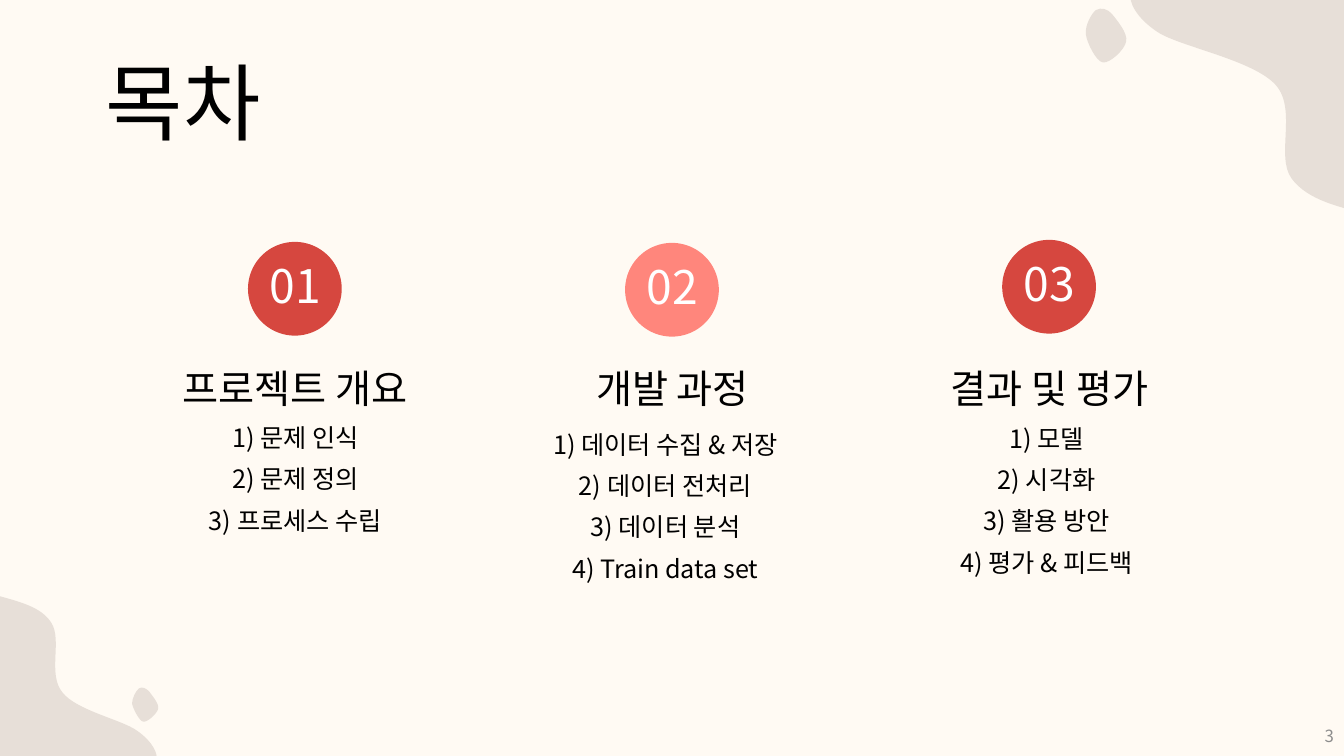
"""Build the contents slide with three numbered sections."""
from dataclasses import dataclass

from lxml.etree import SubElement
from pptx import Presentation
from pptx.dml.color import RGBColor
from pptx.enum.shapes import MSO_SHAPE
from pptx.enum.text import MSO_ANCHOR, PP_ALIGN
from pptx.oxml.ns import qn
from pptx.util import Inches, Pt

FONT = "Noto Sans CJK KR"
COLORS = {
    "background": "FFFAF3", "blob": "E7DFD8", "red": "D6473F",
    "coral": "FF867C", "text": "000000", "white": "FFFFFF", "page": "8C8C8C",
}
BADGE = 0.93

Point = tuple[float, float]
Curve = tuple[float, float, float, float, float, float]


@dataclass(frozen=True)
class Blob:
    start: Point
    curves: tuple[Curve, ...]


@dataclass(frozen=True)
class Section:
    number: str
    title: str
    items: tuple[str, ...]
    color: str
    center: float
    title_width: float
    badge_top: float
    list_center: float
    list_top: float
    list_width: float


BLOBS = (
    Blob((-0.02, 5.91), (
        (0.19, 5.97, 0.41, 6.02, 0.51, 6.18),
        (0.62, 6.35, 0.47, 6.69, 0.62, 6.87),
        (0.76, 7.05, 1.21, 7.14, 1.36, 7.25),
        (1.52, 7.36, 1.57, 7.49, 1.55, 7.53),
        (1.55, 7.55, -0.05, 7.52, -0.05, 7.52),
        (-0.17, 7.51, -0.04, 5.92, -0.04, 5.92))),
    Blob((13.63, 2.14), (
        (13.3, 2.06, 12.97, 1.99, 12.81, 1.77),
        (12.65, 1.55, 12.87, 1.08, 12.65, 0.84),
        (12.43, 0.6, 11.74, 0.47, 11.5, 0.33),
        (11.26, 0.18, 11.19, 0, 11.22, -0.05),
        (11.21, -0.07, 13.68, -0.04, 13.68, -0.03),
        (13.86, -0.03, 13.66, 2.13, 13.66, 2.13))),
    Blob((10.87, 0.1), (
        (10.83, 0.13, 10.76, 0.25, 10.77, 0.34),
        (10.78, 0.42, 10.87, 0.61, 10.94, 0.62),
        (11.01, 0.63, 11.16, 0.49, 11.17, 0.41),
        (11.19, 0.33, 11.07, 0.19, 11.03, 0.14),
        (10.99, 0.09, 10.92, 0.07, 10.87, 0.1))),
    Blob((1.38, 6.83), (
        (1.35, 6.85, 1.31, 6.93, 1.31, 6.98),
        (1.32, 7.03, 1.38, 7.15, 1.42, 7.16),
        (1.46, 7.17, 1.56, 7.08, 1.57, 7.03),
        (1.58, 6.98, 1.5, 6.89, 1.48, 6.86),
        (1.45, 6.83, 1.41, 6.81, 1.38, 6.83))),
)

SECTIONS = (
    Section("01", "프로젝트 개요",
            ("1) 문제 인식", "2) 문제 정의", "3) 프로세스 수립"),
            "red", 2.93, 2.6, 2.4, 2.93, 4.03, 2.6),
    Section("02", "개발 과정",
            ("1) 데이터 수집 & 저장", "2) 데이터 전처리",
             "3) 데이터 분석", "4) Train data set"),
            "coral", 6.67, 2.03, 2.41, 6.6, 4.3, 2.31),
    Section("03", "결과 및 평가",
            ("1) 모델", "2) 시각화", "3) 활용 방안", "4) 평가 & 피드백"),
            "red", 10.41, 2.6, 2.38, 10.38, 4.24, 2.82),
)


def rgb(name: str) -> RGBColor:
    return RGBColor.from_string(COLORS[name])


def paint(sp, color: str) -> None:
    sp.fill.solid()
    sp.fill.fore_color.rgb = rgb(color)
    sp.line.fill.background()
    sp.shadow.inherit = False


def add_blob(s, blob: Blob) -> None:
    points = [(Inches(c[i]), Inches(c[i + 1]))
              for c in blob.curves for i in (0, 2, 4)]
    builder = s.shapes.build_freeform(*map(Inches, blob.start), scale=1.0)
    builder.add_line_segments(points, close=True)
    sp = builder.convert_to_shape()
    lines = list(sp._element.iter(qn("a:lnTo")))
    for i in range(0, len(blob.curves) * 3, 3):
        curve = lines[i].makeelement(qn("a:cubicBezTo"))
        lines[i].addprevious(curve)
        for line in lines[i:i + 3]:
            curve.append(line[0])
            line.getparent().remove(line)
    paint(sp, "blob")


def add_text(s, lines: tuple[str, ...], left: float, top: float, width: float,
             height: float, size: int, color: str = "text",
             align: PP_ALIGN = PP_ALIGN.CENTER,
             anchor: MSO_ANCHOR = MSO_ANCHOR.MIDDLE,
             margin: float = 0, spacing: float = 0.9) -> None:
    tf = s.shapes.add_textbox(*map(Inches, (left, top, width, height))).text_frame
    tf.word_wrap = True
    tf.vertical_anchor = anchor
    tf.margin_left = tf.margin_right = Inches(margin)
    tf.margin_top = tf.margin_bottom = Inches(margin / 2)
    for i, line in enumerate(lines):
        p = tf.add_paragraph() if i else tf.paragraphs[0]
        p.alignment = align
        p.line_spacing = spacing
        if i:
            p.space_before = Pt(10)
        r = p.add_run()
        r.text = line
        r.font.size = Pt(size)
        r.font.name = FONT
        r.font.color.rgb = rgb(color)
        r.font._element.set("kern", "0")
        SubElement(r.font._element, qn("a:ea"), typeface=FONT)


def add_section(s, sec: Section) -> None:
    add_text(s, sec.items, sec.list_center - sec.list_width / 2,
             sec.list_top, sec.list_width, 1.48, 18)
    add_text(s, (sec.title,), sec.center - sec.title_width / 2, 3.6,
             sec.title_width, 0.55, 28)
    sp = s.shapes.add_shape(
        MSO_SHAPE.OVAL, Inches(sec.center - 0.47), Inches(sec.badge_top),
        Inches(BADGE), Inches(BADGE))
    paint(sp, sec.color)
    add_text(s, (sec.number,), sec.center - 0.37, sec.badge_top + 0.13,
             0.74, 0.66, 33, "white")


def main() -> None:
    prs = Presentation()
    prs.slide_width, prs.slide_height = Inches(13.33), Inches(7.5)
    s = prs.slides.add_slide(prs.slide_layouts[6])
    s.background.fill.solid()
    s.background.fill.fore_color.rgb = rgb("background")
    add_text(s, ("목차",), 1.05, 0.61, 11.23, 0.84, 60,
             align=PP_ALIGN.LEFT, anchor=MSO_ANCHOR.TOP)
    for blob in BLOBS:
        add_blob(s, blob)
    for sec in SECTIONS:
        add_section(s, sec)
    add_text(s, ("3",), 10.33, 7.1, 3, 0.4, 12, "page",
             align=PP_ALIGN.RIGHT, margin=0.1, spacing=1.0)
    prs.save("out.pptx")


if __name__ == "__main__":
    main()
